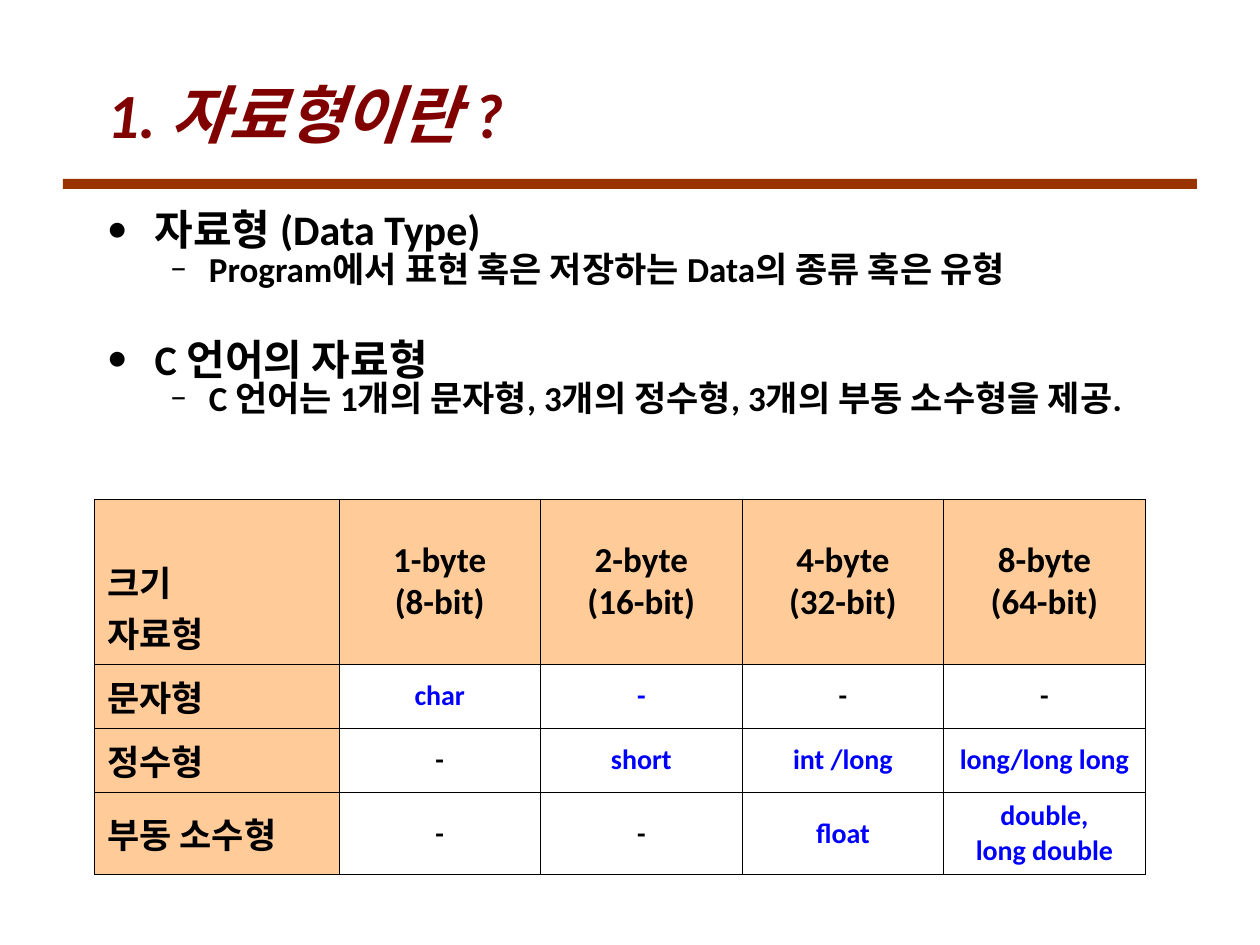
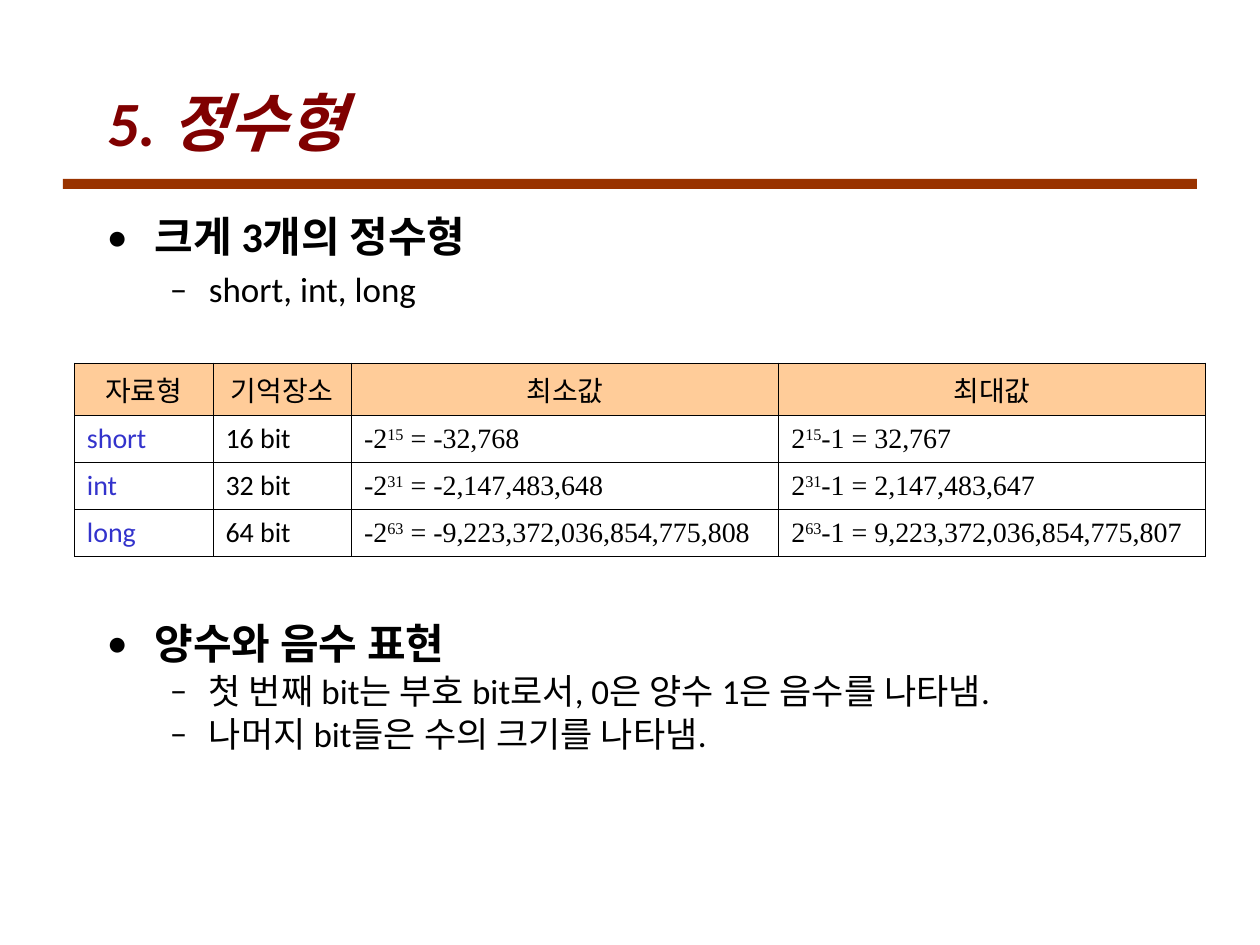
from dataclasses import dataclass

from lxml import etree
from pptx import Presentation
from pptx.dml.color import RGBColor
from pptx.enum.shapes import MSO_SHAPE
from pptx.enum.text import MSO_ANCHOR, MSO_AUTO_SIZE, PP_ALIGN
from pptx.oxml.ns import qn
from pptx.util import Inches, Pt

LEFT, MID = PP_ALIGN.LEFT, PP_ALIGN.CENTER
CENTRE, BASE = MSO_ANCHOR.MIDDLE, MSO_ANCHOR.BOTTOM
FIXED = MSO_AUTO_SIZE.NONE
RECT = MSO_SHAPE.RECTANGLE


@dataclass(frozen=True)
class Theme:
    sans: str = "Calibri"
    serif: str = "Times New Roman"
    ink: str = "000000"
    title: str = "800000"
    bar: str = "993300"
    head: str = "FFCC99"
    blue: str = "0000FF"
    navy: str = "3333CC"
    big: int = 36
    main: int = 24
    sub: int = 20
    small: int = 16
    rule: float = 0.45


T = Theme()
WIDE, HIGH = 10, 7.5
EDGE = 0.75
MARKS = (("•", 0.38, 0.38), ("–", 0.81, 0.31))

TYPES = [
    ["크기\n자료형", "1-byte\n(8-bit)", "2-byte\n(16-bit)",
     "4-byte\n(32-bit)", "8-byte\n(64-bit)"],
    ["문자형", "*char", "*-", "-", "-"],
    ["정수형", "-", "*short", "*int /long", "*long/long long"],
    ["부동 소수형", "-", "-", "*float", "*double,\nlong double"],
]
LIMITS = [
    ["자료형", "기억장소", "최소값", "최대값"],
    ["*short", "16 bit", "-2^15^ = -32,768", "2^15^-1 = 32,767"],
    ["*int", "32 bit", "-2^31^ = -2,147,483,648", "2^31^-1 = 2,147,483,647"],
    ["*long", "64 bit", "-2^63^ = -9,223,372,036,854,775,808",
     "2^63^-1 = 9,223,372,036,854,775,807"],
]


def type_style(row, col, blue):
    label = row == 0 or col == 0
    return dict(
        size=T.sub if label else T.small, bold=True,
        color=T.blue if blue else T.ink,
        align=MID if col else LEFT,
        fill=T.head if label else None,
        anchor=BASE if row == col == 0 else CENTRE,
    )


def limit_style(row, col, blue):
    return dict(
        size=T.small, color=T.navy if blue else T.ink,
        font=T.serif if row == 0 or col > 1 else T.sans,
        align=LEFT if row else MID,
        fill=None if row else T.head,
    )


SLIDES = [
    dict(
        title="1. 자료형이란 ?", top=0.44,
        body=dict(size=(8.9, 2.24), line=0.72, bold=(True, True), items=[
            (0, 0, "자료형 (Data Type)"),
            (1, 3, "Program에서 표현 혹은 저장하는 Data의 종류 혹은 유형"),
            (0, 33, "C 언어의 자료형"),
            (1, 3, "C 언어는 1개의 문자형, 3개의 정수형, 3개의 부동 소수형을 제공."),
        ]),
        table=dict(data=TYPES, at=(EDGE, 3.96), style=type_style,
                   cols=[1.94] + [1.6] * 4, rows=[1.31, 0.51, 0.51, 0.65]),
    ),
    dict(
        title="5. 정수형", top=0.5,
        body=dict(size=(8.5, 5.17), line=0.9, bold=(True, False), items=[
            (0, 0, "크게 3개의 정수형"),
            (1, 6, "short, int, long"),
            (0, 179, "양수와 음수 표현"),
            (1, 3, "첫 번째 bit는 부호 bit로서, 0은 양수 1은 음수를 나타냄."),
            (1, 3, "나머지 bit들은 수의 크기를 나타냄."),
        ]),
        table=dict(data=LIMITS, at=(0.59, 2.88), style=limit_style,
                   cols=[1.1, 1.1, 3.39, 3.39], rows=[0.42] + [0.37] * 3),
    ),
]


def node(parent, tag, **attrs):
    return etree.SubElement(parent, qn(tag), attrs)


def tint(parent, color):
    node(node(parent, "a:solidFill"), "a:srgbClr", val=color)


def write(para, text, size=T.sub, color=T.ink, font=T.sans, bold=False,
          slant=False, align=LEFT, before=0, line=None):
    para.alignment = align
    para.space_before = Pt(before)
    if line:
        para.line_spacing = line
    for i, part in enumerate(text.split("^")):
        run = para.add_run()
        run.text = part
        face = run.font
        face.name, face.size = font, Pt(size)
        face.bold, face.italic = bold, slant
        face.color.rgb = RGBColor.from_string(color)
        if i % 2:
            run._r.get_or_add_rPr().set("baseline", "30000")


def mark(para, level):
    sign, left, hang = MARKS[level]
    props = para._p.get_or_add_pPr()
    props.set("marL", str(Inches(left)))
    props.set("indent", str(-Inches(hang)))
    node(node(props, "a:buClr"), "a:srgbClr", val=T.ink)
    node(props, "a:buFont", typeface=T.sans)
    node(props, "a:buChar", char=sign)


def add_title(slide, text, top):
    bar = slide.shapes.add_shape(
        RECT, Inches(WIDE * 0.05), Inches(1.42), Inches(WIDE * 0.9), Inches(0.08))
    bar.shadow.inherit = False
    bar.fill.solid()
    bar.fill.fore_color.rgb = RGBColor.from_string(T.bar)
    bar.line.fill.background()
    title = slide.shapes.title
    title.left, title.top = Inches(EDGE), Inches(top)
    title.width, title.height = Inches(WIDE - 2 * EDGE), Inches(0.92)
    frame = title.text_frame
    frame.auto_size = FIXED
    frame.vertical_anchor = CENTRE
    write(frame.paragraphs[0], text, size=T.big, color=T.title,
          bold=True, slant=True)


def add_body(slide, size, line, bold, items):
    box = slide.shapes.add_textbox(
        Inches(EDGE), Inches(1.67), *map(Inches, size))
    frame = box.text_frame
    frame.word_wrap = True
    frame.auto_size = FIXED
    for i, (level, gap, text) in enumerate(items):
        para = frame.add_paragraph() if i else frame.paragraphs[0]
        para.level = level
        mark(para, level)
        write(para, text, size=(T.main, T.sub)[level], bold=bold[level],
              before=gap, line=line)


def fill_cell(cell, text, fill=None, anchor=CENTRE, **form):
    props = cell._tc.get_or_add_tcPr()
    for side in "LRTB":
        tint(node(props, f"a:ln{side}", w=str(Pt(T.rule))), T.ink)
    if fill:
        cell.fill.solid()
        cell.fill.fore_color.rgb = RGBColor.from_string(fill)
    else:
        cell.fill.background()
    cell.vertical_anchor = anchor
    frame = cell.text_frame
    for i, part in enumerate(text.split("\n")):
        write(frame.add_paragraph() if i else frame.paragraphs[0], part, **form)


def add_grid(slide, data, at, style, cols, rows):
    grid = slide.shapes.add_table(
        len(rows), len(cols), *map(Inches, (*at, sum(cols), sum(rows)))).table
    grid.first_row = grid.horz_banding = False
    for col, width in zip(grid.columns, cols):
        col.width = Inches(width)
    for row, height in zip(grid.rows, rows):
        row.height = Inches(height)
    for r, line in enumerate(data):
        for c, text in enumerate(line):
            fill_cell(grid.cell(r, c), text.removeprefix("*"),
                      **style(r, c, text.startswith("*")))


def main():
    deck = Presentation()
    deck.slide_width, deck.slide_height = Inches(WIDE), Inches(HIGH)
    for page in SLIDES:
        slide = deck.slides.add_slide(deck.slide_layouts[5])
        add_title(slide, page["title"], page["top"])
        add_body(slide, **page["body"])
        add_grid(slide, **page["table"])
    deck.save("out.pptx")


if __name__ == "__main__":
    main()
